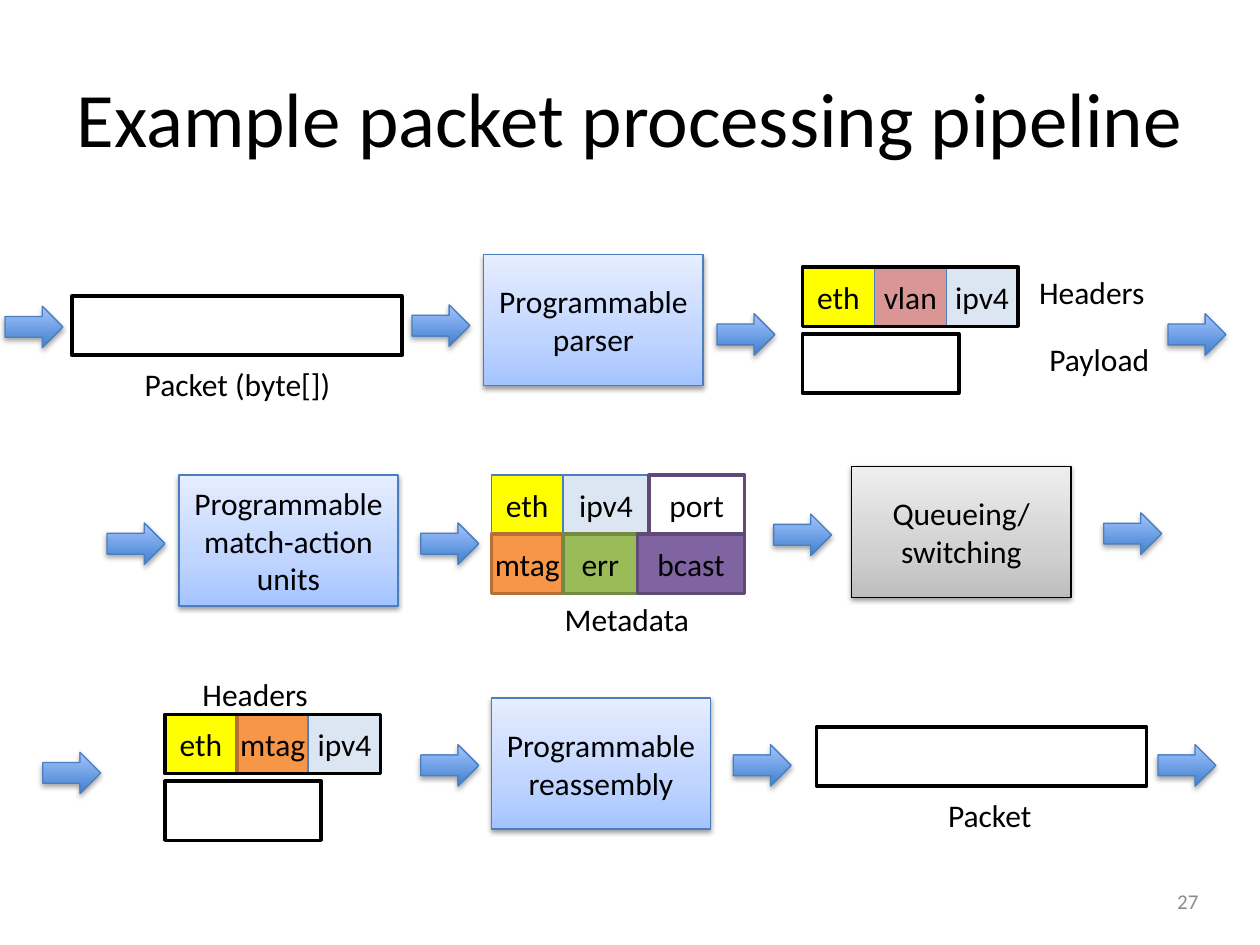
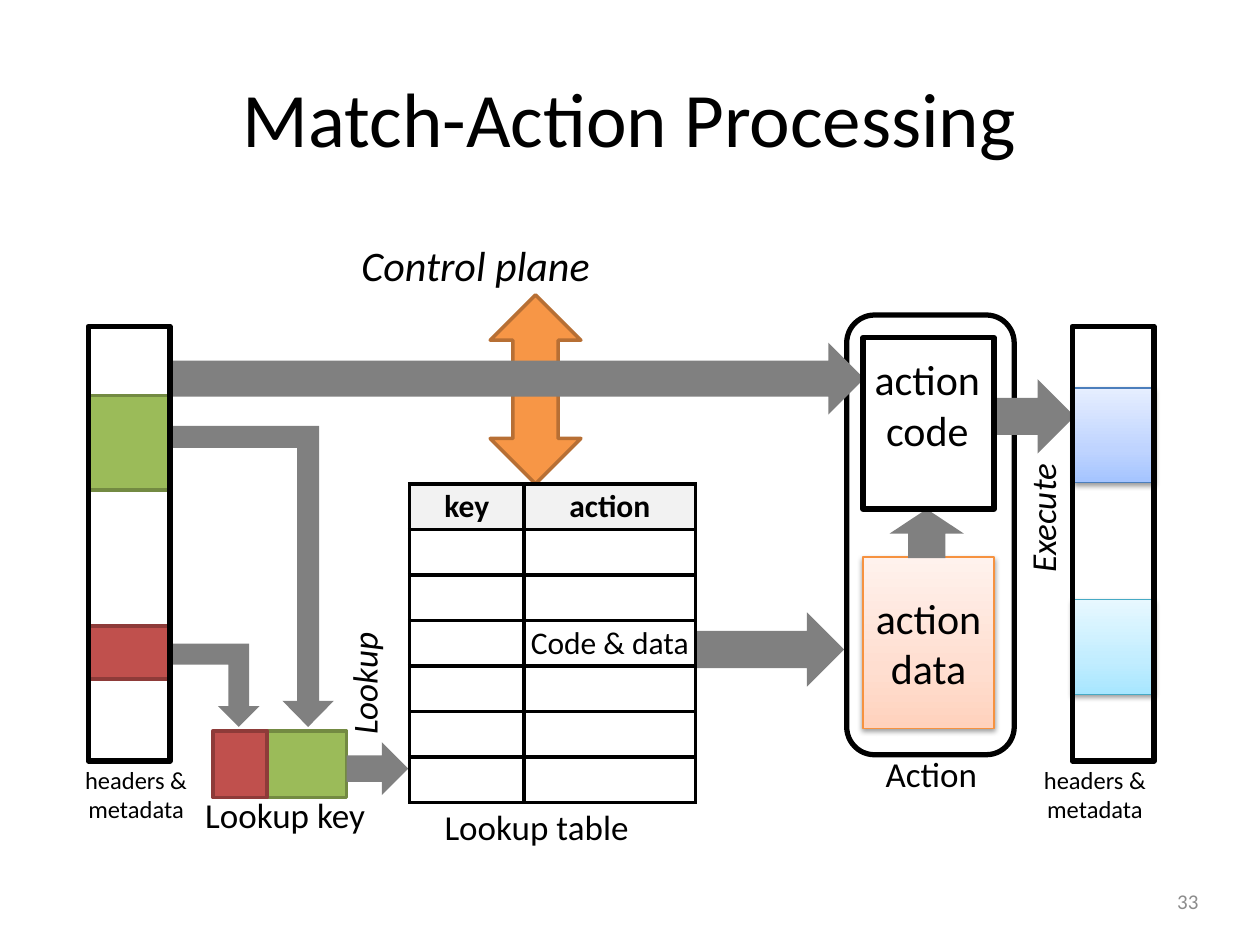
from itertools import accumulate

from lxml import etree
from pptx import Presentation
from pptx.dml.color import RGBColor
from pptx.enum.shapes import MSO_SHAPE
from pptx.enum.text import MSO_ANCHOR, MSO_AUTO_SIZE, PP_ALIGN
from pptx.oxml.ns import qn
from pptx.util import Inches, Pt

RECTANGLE, ROUNDED = MSO_SHAPE.RECTANGLE, MSO_SHAPE.ROUNDED_RECTANGLE
RIGHT_ARROW, UP_DOWN_ARROW = MSO_SHAPE.RIGHT_ARROW, MSO_SHAPE.UP_DOWN_ARROW
BENT_ARROW = MSO_SHAPE.BENT_UP_ARROW
LEFT, CENTER, RIGHT = PP_ALIGN.LEFT, PP_ALIGN.CENTER, PP_ALIGN.RIGHT
TOP, MIDDLE = MSO_ANCHOR.TOP, MSO_ANCHOR.MIDDLE

# Shared look
FONT = "Calibri"
BLACK, WHITE, GRAY, NUMBER_GRAY = "000000", "FFFFFF", "808080", "8C8C8C"
BLUE_EDGE = "4B7EBC"
GREEN, RED, ORANGE = ("9BBB59", "738A42", 2), ("C0504D", "8E3B39", 2), ("F79646", "B76F34", 2)
SOFT_BLUE = [(0, "A4C4FF"), (35, "BFD4FF"), (100, "E6EEFF")]
SOFT_GRAY = [(0, "BDBDBD"), (35, "D1D1D1"), (100, "EEEEEE")]
SOFT_CYAN = [(0, "A7E6FF"), (35, "C1EDFF"), (100, "E7F8FF")]
SOFT_ORANGE = [(0, "FFD2BD"), (35, "FFDED0"), (100, "FFF2ED")]
ARROW_BLUE = [(0, "3F80CE"), (100, "A4C4FF")]
BOX_SHADOW, ARROW_SHADOW = (38, 1.6), (35, 1.8)  # opacity, distance

# Pipeline slide
FIELD_WIDTH, FIELD_HEIGHT = 0.57, 0.47
STAGE_SIZE, ARROW_SIZE = (1.74, 1.04), (0.46, 0.33)
FIELD_STYLES = {
    "eth": ("FFFF00", BLUE_EDGE, 0.75),
    "vlan": ("D99694", BLUE_EDGE, 0.75),
    "ipv4": ("DCE6F2", BLUE_EDGE, 0.75),
    "mtag": ORANGE,
    "err": GREEN,
    "bcast": ("8064A2", "5F4A78", 2),
    "port": (None, "5F4A78", 2),
}
STAGES = [
    (["Programmable", "parser"], 3.84, 2.02, SOFT_BLUE, BLUE_EDGE),
    (["Programmable", "match-action", "units"], 1.42, 3.77, SOFT_BLUE, BLUE_EDGE),
    (["Queueing/", "switching"], 6.76, 3.7, SOFT_GRAY, BLACK),
    (["Programmable", "reassembly"], 3.9, 5.54, SOFT_BLUE, BLUE_EDGE),
]
PIPELINE_ARROWS = [
    (0.04, 2.43), (3.27, 2.42), (5.69, 2.49), (9.27, 2.49),
    (0.85, 4.15), (3.34, 4.15), (6.14, 4.08), (8.76, 4.07),
    (0.34, 5.97), (3.34, 5.91), (5.82, 5.91), (9.19, 5.91),
]
PACKETS = [(0.57, 2.35, 2.62), (6.37, 2.65, 1.24), (6.48, 5.77, 2.62), (1.31, 6.2, 1.24)]
HEADER_ROWS = [  # left, top, fields, widths, framed
    (6.37, 2.12, ["eth", "vlan", "ipv4"], [FIELD_WIDTH] * 3, True),
    (3.9, 3.77, ["eth", "ipv4", "port"], [FIELD_WIDTH, 0.68, 0.76], False),
    (3.9, 4.24, ["mtag", "err", "bcast"], [FIELD_WIDTH, 0.59, 0.85], False),
    (1.31, 5.67, ["eth", "mtag", "ipv4"], [FIELD_WIDTH] * 3, True),
]
PIPELINE_LABELS = [
    ("Packet (byte[])", 1.03, 2.85, 1.71), ("Headers", 8.14, 2.12, 1.05),
    ("Payload", 8.22, 2.65, 1.01), ("Metadata", 4.37, 4.71, 1.21),
    ("Headers", 1.5, 5.31, 1.05), ("Packet", 7.41, 6.27, 0.89),
]

# Match-action slide
ACTION_SIZE = (1.04, 1.36)
MEMORY_COLUMNS = [0.7, 8.51]
MEMORY_TOP, MEMORY_WIDTH, MEMORY_HEIGHT = 2.59, 0.65, 3.45
STORED_FIELDS = [
    ((0.7, 3.14, 0.65, 0.75), GREEN), ((0.7, 4.97, 0.65, 0.42), RED),
    ((2.12, 5.8, 0.63, 0.53), GREEN), ((1.69, 5.8, 0.43, 0.53), RED),
]
RESULT_FIELDS = [
    ((8.53, 3.08, 0.63, 0.75), SOFT_BLUE, BLUE_EDGE),
    ((8.51, 4.76, 0.65, 0.75), SOFT_CYAN, "46AAC5"),
]
BENT_ARROWS = [
    ((1.35, 3.38, 1.3, 2.39), (0.134, 0.157, 0.16)),
    ((1.35, 5.11, 0.71, 0.66), (0.25, 0.25, 0.25)),
]
FLOW_ARROWS = [
    ((1.35, 2.72, 5.51, 0.57), 0), ((2.75, 5.89, 0.49, 0.42), 0),
    ((5.53, 4.86, 1.17, 0.59), 0), ((7.89, 3.01, 0.64, 0.59), 0),
    ((7.16, 3.94, 0.39, 0.59), 270),
]
TABLE_FRAME = (3.25, 3.84, 2.27, 2.53)
TABLE_COLUMNS = [0.91, 1.36]
TABLE_ROWS = [("key", "action"), ("", ""), ("", ""), ("", "Code & data"),
              ("", ""), ("", ""), ("", "")]
MATCH_LABELS = [  # lines, frame, size, alignment, italic, rotation
    (["Lookup table"], (3.43, 6.34, 1.67, 0.44), 20, LEFT, False, 0),
    (["Lookup key"], (1.53, 6.25, 1.54, 0.44), 20, LEFT, False, 0),
    (["Action"], (6.93, 5.92, 0.94, 0.44), 20, LEFT, False, 0),
    (["Control plane"], (2.77, 1.85, 2.11, 0.5), 24, LEFT, True, 0),
    (["Lookup"], (2.38, 5.2, 1.02, 0.44), 20, LEFT, True, 270),
    (["Execute"], (7.74, 3.89, 1.07, 0.44), 20, LEFT, True, 270),
    (["action", "code"], (6.82, 2.76, 1.08, 0.91), 24, CENTER, False, 0),
    (["headers &", "metadata"], (0.57, 6.02, 1.02, 0.57), 14, CENTER, False, 0),
    (["headers &", "metadata"], (8.18, 6.02, 1.02, 0.57), 14, CENTER, False, 0),
]


def color(value):
    return RGBColor.from_string(value)


def inches(frame):
    return [Inches(length) for length in frame]


def write(text_frame, lines, size, alignment=CENTER, bold=False, italic=False, ink=BLACK):
    for index, line in enumerate(lines):
        paragraph = text_frame.add_paragraph() if index else text_frame.paragraphs[0]
        paragraph.alignment = alignment
        run = paragraph.add_run()
        run.text = line
        font = run.font
        font.name, font.size, font.bold, font.italic = FONT, Pt(size), bold, italic
        font.color.rgb = color(ink)


def add_color(parent, value):
    return etree.SubElement(parent, qn("a:srgbClr"), val=value)


def paint(shape, fill):
    """Fill with nothing, one colour, or gradient stops running upwards."""
    if fill is None:
        shape.fill.background()
    elif isinstance(fill, str):
        shape.fill.solid()
        shape.fill.fore_color.rgb = color(fill)
    else:
        shape.fill.gradient()
        shape.fill.gradient_angle = 90
        stops = shape._element.spPr.find(".//" + qn("a:gsLst"))
        for stop in list(stops):
            stops.remove(stop)
        for position, value in fill:
            add_color(etree.SubElement(stops, qn("a:gs"), pos=str(position * 1000)), value)


def cast_shadow(shape, opacity, distance):
    effects = shape._element.spPr.find(qn("a:effectLst"))
    shadow = etree.SubElement(effects, qn("a:outerShdw"), blurRad=str(Pt(3.1)),
                              dist=str(Pt(distance)), dir="5400000", rotWithShape="0")
    etree.SubElement(add_color(shadow, BLACK), qn("a:alpha"), val=str(opacity * 1000))


def add_shape(slide, kind, frame, fill=None, line=None, width=0.75, shadow=None,
              lines=(), size=18):
    shape = slide.shapes.add_shape(kind, *inches(frame))
    shape.shadow.inherit = False
    paint(shape, fill)
    if line:
        shape.line.color.rgb = color(line)
        shape.line.width = Pt(width)
    else:
        shape.line.fill.background()
    if shadow:
        cast_shadow(shape, *shadow)
    if lines:
        shape.text_frame.word_wrap = False
        shape.text_frame.vertical_anchor = MIDDLE
        write(shape.text_frame, lines, size)
    return shape


def add_label(slide, lines, frame, size=18, alignment=CENTER, italic=False, rotation=0):
    box = slide.shapes.add_textbox(*inches(frame))
    box.rotation = rotation
    box.text_frame.word_wrap = False
    box.text_frame.auto_size = MSO_AUTO_SIZE.SHAPE_TO_FIT_TEXT
    box.text_frame.vertical_anchor = TOP
    write(box.text_frame, lines, size, alignment, italic=italic)


def add_slide(presentation, title, number):
    slide = presentation.slides.add_slide(presentation.slide_layouts[5])
    heading = slide.shapes.title
    heading.left, heading.top, heading.width, heading.height = inches((0.5, 0.3, 9, 1.25))
    heading.text_frame.vertical_anchor = MIDDLE
    write(heading.text_frame, [title], 44)
    box = slide.shapes.add_textbox(*inches((8.57, 6.95, 1.04, 0.4)))
    box.text_frame.word_wrap = True
    box.text_frame.vertical_anchor = MIDDLE
    write(box.text_frame, [number], 12, RIGHT, ink=NUMBER_GRAY)
    return slide


def add_header_row(slide, left, top, fields, widths, framed):
    for name, width, offset in zip(fields, widths, accumulate(widths, initial=0)):
        add_shape(slide, RECTANGLE, (left + offset, top, width, FIELD_HEIGHT),
                  *FIELD_STYLES[name], lines=[name])
    if framed:
        add_shape(slide, RECTANGLE, (left, top, sum(widths), FIELD_HEIGHT), None, BLACK, 2)


def add_borders(cell):
    properties = cell._tc.get_or_add_tcPr()
    for index, side in enumerate(("lnL", "lnR", "lnT", "lnB")):
        border = etree.Element(qn("a:" + side), w=str(Pt(2.25)))
        add_color(etree.SubElement(border, qn("a:solidFill")), BLACK)
        properties.insert(index, border)


def add_lookup_table(slide):
    frame = slide.shapes.add_table(len(TABLE_ROWS), len(TABLE_COLUMNS), *inches(TABLE_FRAME))
    table = frame.table
    table.first_row = table.horz_banding = False
    for column, width in zip(table.columns, TABLE_COLUMNS):
        column.width = Inches(width)
    for row_index, row in enumerate(TABLE_ROWS):
        for column_index, text in enumerate(row):
            cell = table.cell(row_index, column_index)
            cell.margin_left = cell.margin_right = cell.margin_top = cell.margin_bottom = 0
            cell.vertical_anchor = MIDDLE
            paint(cell, WHITE if row_index else "F2F2F2")
            add_borders(cell)
            if text:
                write(cell.text_frame, [text], 18, bold=row_index == 0)


def build_pipeline(presentation):
    slide = add_slide(presentation, "Example packet processing pipeline", "27")
    for left, top, width in PACKETS:
        add_shape(slide, RECTANGLE, (left, top, width, FIELD_HEIGHT), WHITE, BLACK, 2)
    for lines, left, top, fill, line in STAGES:
        add_shape(slide, RECTANGLE, (left, top, *STAGE_SIZE), fill, line,
                  shadow=BOX_SHADOW, lines=lines)
    for position in PIPELINE_ARROWS:
        add_shape(slide, RIGHT_ARROW, (*position, *ARROW_SIZE), ARROW_BLUE, BLUE_EDGE,
                  shadow=ARROW_SHADOW)
    for header_row in HEADER_ROWS:
        add_header_row(slide, *header_row)
    for text, left, top, width in PIPELINE_LABELS:
        add_label(slide, [text], (left, top, width, 0.4))


def build_match_action(presentation):
    slide = add_slide(presentation, "Match-Action Processing", "33")
    add_shape(slide, UP_DOWN_ARROW, (3.89, 2.34, 0.72, 1.5), *ORANGE)
    add_shape(slide, ROUNDED, (6.72, 2.5, 1.33, 3.49), None, BLACK, 3)
    add_shape(slide, RECTANGLE, (6.85, 4.42, *ACTION_SIZE), SOFT_ORANGE, "F69240",
              shadow=BOX_SHADOW, lines=["action", "data"], size=24)
    for frame, style in STORED_FIELDS:
        add_shape(slide, RECTANGLE, frame, *style)
    for frame, adjustments in BENT_ARROWS:
        arrow = add_shape(slide, BENT_ARROW, frame, GRAY)
        arrow._element.spPr.xfrm.set("flipV", "1")
        for index, value in enumerate(adjustments):
            arrow.adjustments[index] = value
    for frame, rotation in FLOW_ARROWS:
        add_shape(slide, RIGHT_ARROW, frame, GRAY).rotation = rotation
    for frame, fill, line in RESULT_FIELDS:
        add_shape(slide, RECTANGLE, frame, fill, line, shadow=BOX_SHADOW)
    for left in MEMORY_COLUMNS:
        add_shape(slide, RECTANGLE, (left, MEMORY_TOP, MEMORY_WIDTH, MEMORY_HEIGHT),
                  None, BLACK, 3)
    add_shape(slide, RECTANGLE, (6.85, 2.68, *ACTION_SIZE), None, BLACK, 3)
    add_lookup_table(slide)
    for label in MATCH_LABELS:
        add_label(slide, *label)


def main():
    presentation = Presentation()
    presentation.slide_width, presentation.slide_height = Inches(10), Inches(7.5)
    build_pipeline(presentation)
    build_match_action(presentation)
    presentation.save("out.pptx")


if __name__ == "__main__":
    main()
